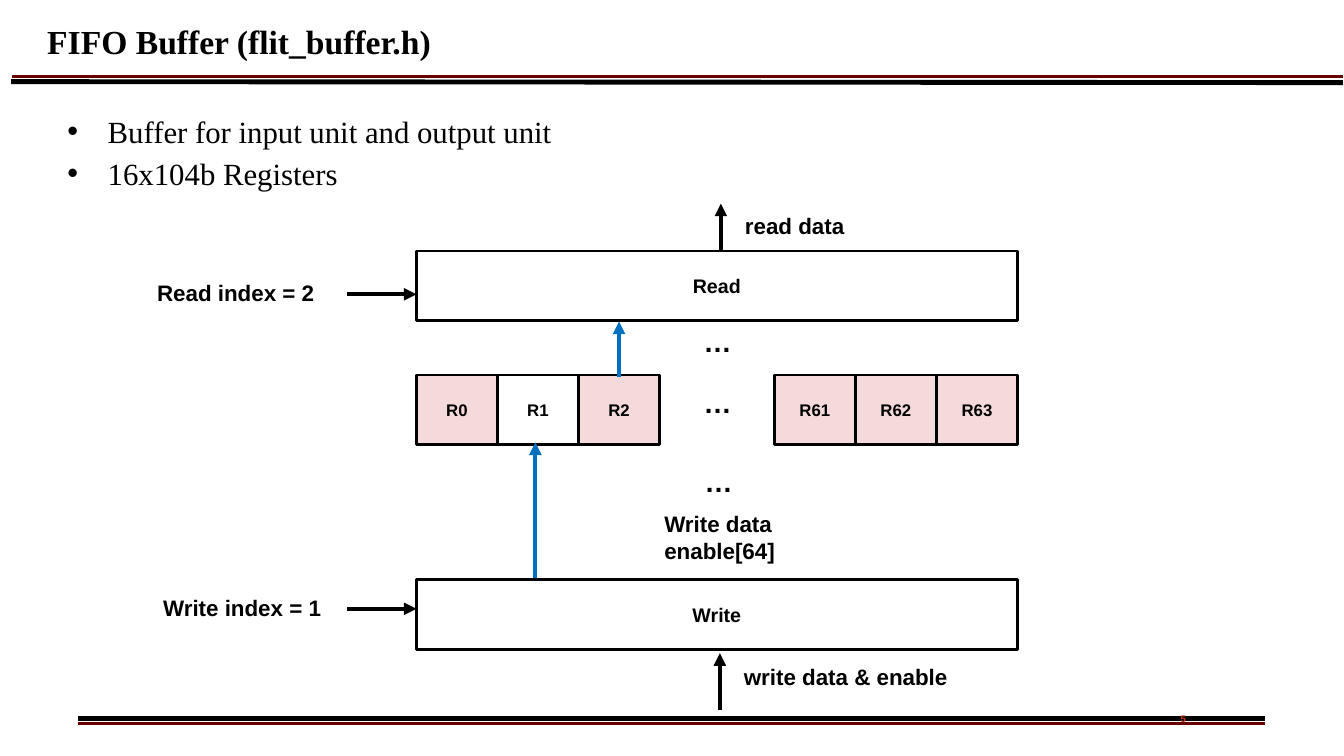
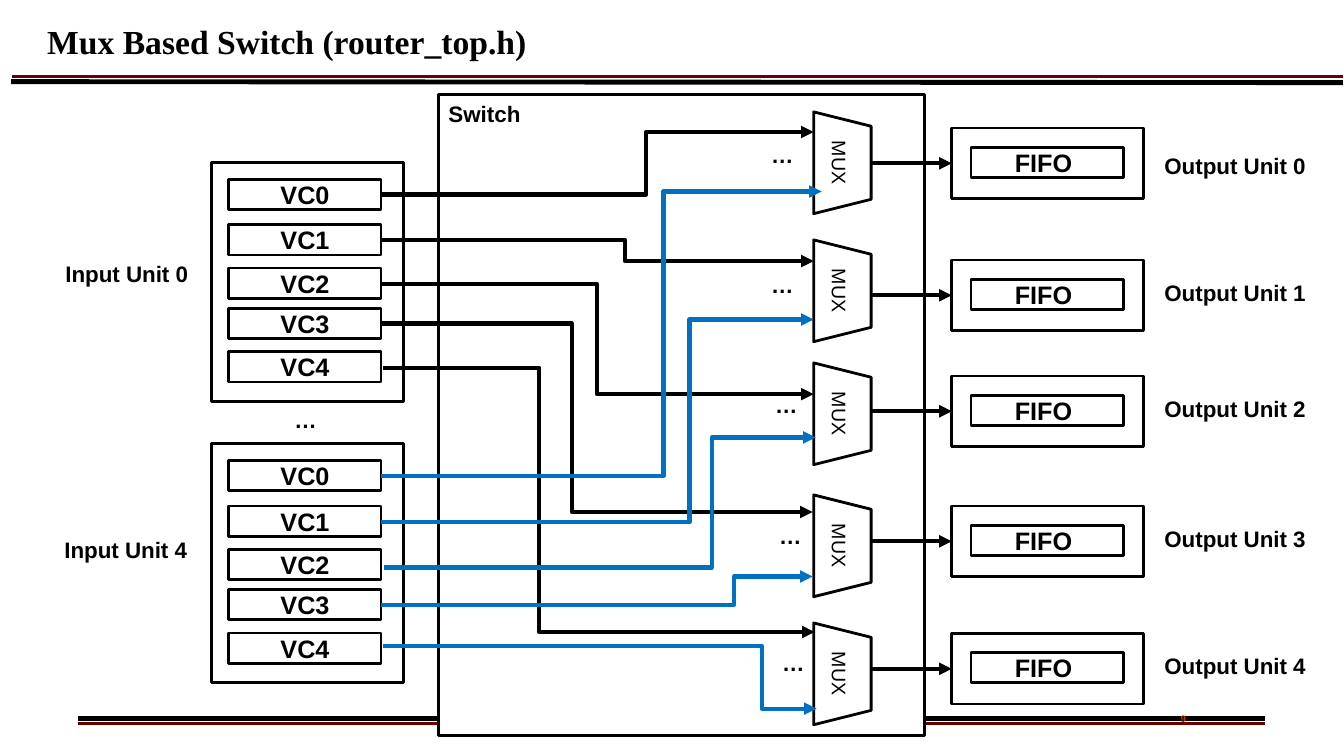
from dataclasses import dataclass
from pptx import Presentation
from pptx.dml.color import RGBColor as RGB
from pptx.enum.shapes import MSO_CONNECTOR as Link, MSO_SHAPE as Form
from pptx.enum.text import MSO_ANCHOR as Anchor, PP_ALIGN as Align
from pptx.oxml.ns import qn
from pptx.util import Inches, Pt
from lxml.etree import SubElement as Sub


@dataclass(frozen=True)
class Theme:
    ink: str = "000000"
    paper: str = "FFFFFF"
    rose: str = "F4DADA"
    blue: str = "0070C0"
    wine: str = "680000"
    red: str = "CC3300"
    sans: str = "Arial"
    serif: str = "Times New Roman"
    head: float = 24
    body: float = 22
    dots: float = 20
    queue: float = 18
    label: float = 16
    block: float = 14
    cell: float = 12
    page: float = 6.8
    edge: float = 2
    wire: float = 3
    rule: float = 3.5


T = Theme()
CELL = Inches(0.1)
COLS, ROWS = 133.3, 75

RULES = [
    ((7.7, 71.8), (125.5, 71.8), T.wine, T.edge),
    ((7.7, 71.3), (125.5, 71.3), T.ink, T.rule),
    ((1.2, 7.6), (133.2, 7.6), T.wine, T.edge),
    ((1.1, 8.1), (133.2, 8.2), T.ink, T.rule),
]

FIFO = {
    "title": "FIFO Buffer (flit_buffer.h)",
    "page": "5",
    "points": ["Buffer for input unit and output unit", "16x104b Registers"],
    "banks": [(41.3, ["R0", "R1", "R2"]), (76.8, ["R61", "R62", "R63"])],
    "free": "R1",
    "bars": [("Read", 24.9), ("Write", 57.5)],
    "dots": [(68.8, 37.8), (68.8, 31.7), (68.9, 45.6)],
    "labels": [
        ("Read index = 2", 14.6, 27.2, 20.8),
        ("read data", 72.9, 20.6, 15.9),
        ("Write data\nenable[64]", 64.9, 50.1, 29.2),
        ("Write index = 1", 15.2, 58.5, 20.2),
        ("write data & enable", 72.8, 65.3, 26.3),
    ],
    "wires": [
        ((61.4, 37.4), (61.4, 31.9), T.blue),
        ((53.1, 58.2), (53.1, 43.9), T.blue),
        ((34.4, 29.2), (41.3, 29.2), T.ink),
        ((71.5, 25.7), (71.5, 20.2), T.ink),
        ((34.4, 60.4), (41.3, 60.4), T.ink),
        ((71.4, 70.4), (71.4, 64.8), T.ink),
    ],
}

MUX = {
    "title": "Mux Based Switch (router_top.h)",
    "page": "9",
    "inputs": [("Input Unit 0", 16.1, 5.5, 25.3), ("Input Unit 4", 44, 5.4, 52.7)],
    "queues": [1.7, 6.2, 10.5, 14.5, 18.8],
    "outputs": [
        (16.15, 16.2, (75.5, 13.5)),
        (28.85, 29.3, (75.5, 26.4)),
        (41.05, 40.8, (75.9, 38.3)),
        (54.15, 53.7, (76.3, 51.3)),
        (66.85, 66.35, (76.6, 63.9)),
    ],
    "wires": {
        T.ink: [
            ((37.8, 19.3), 64.1, (80.7, 13.1)),
            ((37.8, 23.8), 62, (80.7, 25.9)),
            ((37.8, 28.2), 59.2, (80.7, 39.1)),
            ((37.8, 32.1), 56.7, (80.6, 50.8)),
            ((38, 36.5), 53.5, (80.8, 62.7)),
        ],
        T.blue: [
            ((37.8, 47.2), 65.8, (81.5, 19)),
            ((37.8, 51.8), 68.4, (80.7, 31.7)),
            ((38.1, 56.3), 70.6, (80.9, 43.4)),
            ((37.8, 60), 72.8, (80.6, 57.2)),
            ((38, 64.1), 75.6, (81, 70.3)),
        ],
    },
}


def span(*cells):
    return [round(c * CELL) for c in cells]


def write(shape, words, size=T.label, font=T.sans, color=T.ink, bold=True,
          align=Align.LEFT, anchor=Anchor.TOP, inset=(1, 0.5), bullet=None, before=0):
    frame = shape.text_frame
    frame.word_wrap = True
    frame.vertical_anchor = anchor
    frame.margin_left = frame.margin_right = round(inset[0] * CELL)
    frame.margin_top = frame.margin_bottom = round(inset[1] * CELL)
    for i, line in enumerate(words.split("\n")):
        para = frame.paragraphs[0] if i == 0 else frame.add_paragraph()
        para.alignment = align
        para.space_before = Pt(before)
        run = para.add_run()
        run.text = line
        run.font.size, run.font.name, run.font.bold = Pt(size), font, bold
        run.font.color.rgb = RGB.from_string(color)
        if bullet:
            prop = para._p.get_or_add_pPr()
            prop.set("marL", str(Inches(0.5)))
            prop.set("indent", str(Inches(-0.4)))
            Sub(prop, qn("a:buFont"), typeface=T.sans)
            Sub(prop, qn("a:buChar"), char=bullet)


def note(slide, words, x, y, w, h=3.7, **form):
    write(slide.shapes.add_textbox(*span(x, y, w, h)), words, **form)


def box(slide, x, y, w, h, words="", fill=T.paper, kind=Form.RECTANGLE, turn=0, **form):
    shape = slide.shapes.add_shape(kind, *span(x, y, w, h))
    shape.shadow.inherit = False
    shape.rotation = turn
    shape.fill.solid()
    shape.fill.fore_color.rgb = RGB.from_string(fill)
    shape.line.color.rgb = RGB.from_string(T.ink)
    shape.line.width = Pt(T.edge)
    if words:
        write(shape, words, align=Align.CENTER, anchor=Anchor.MIDDLE, **form)


def wire(slide, start, end, color=T.ink, width=T.wire, bend=None, arrow=True):
    kind = Link.STRAIGHT if bend is None else Link.ELBOW
    line = slide.shapes.add_connector(kind, *span(*start, *end))
    line.line.color.rgb = RGB.from_string(color)
    line.line.width = Pt(width)
    prop = line._element.spPr
    if bend is not None:
        share = round((bend - start[0]) / (end[0] - start[0]) * 100000)
        shape = prop.find(qn("a:prstGeom"))
        guide = shape.find(qn("a:avLst"))
        if guide is None:
            guide = Sub(shape, qn("a:avLst"))
        Sub(guide, qn("a:gd"), name="adj1", fmla=f"val {share}")
    if arrow:
        Sub(prop.find(qn("a:ln")), qn("a:tailEnd"), type="triangle")
    Sub(prop, qn("a:effectLst"))


def start(deck, data):
    slide = deck.slides.add_slide(deck.slide_layouts[6])
    for head, tail, color, width in RULES:
        wire(slide, head, tail, color, width, arrow=False)
    note(slide, data["page"], 112.3, 70.4, 10.1, 2.4, size=T.page, color=T.red,
         align=Align.CENTER, inset=(0.6, 0.3))
    note(slide, data["title"], 3.7, 0.5, 127.1, 7.1, size=T.head, font=T.serif,
         anchor=Anchor.MIDDLE)
    return slide


def buffer(deck, data):
    slide = start(deck, data)
    note(slide, "\n".join(data["points"]), 4.7, 10.7, 124.9, 55.1, size=T.body,
         font=T.serif, bold=False, bullet="•", before=3.4)
    for left, names in data["banks"]:
        for i, name in enumerate(names):
            fill = T.paper if name == data["free"] else T.rose
            box(slide, left + i * 8.04, 37.2, 8.04, 6.9, name, fill, size=T.cell)
    for head, tail, color in data["wires"]:
        wire(slide, head, tail, color)
    for name, top in data["bars"]:
        box(slide, 41.3, top, 59.6, 6.9, name, size=T.block)
    for x, y in data["dots"]:
        note(slide, "…", x, y, 5.6, 4.4, size=T.dots)
    for label in data["labels"]:
        note(slide, *label)


def switch(deck, data):
    slide = start(deck, data)
    box(slide, 43.5, 9.4, 48.2, 63.6)
    note(slide, "Switch", 43.5, 9.4, 14.3)
    for name, top, x, y in data["inputs"]:
        box(slide, 21, top, 19, 23.7)
        note(slide, name, x, y, 14.3)
        for i, drop in enumerate(data["queues"]):
            box(slide, 22.7, top + drop, 15.1, 3, f"VC{i}", size=T.queue)
    note(slide, "…", 28.2, 39.8, 4.9)
    for i, (mid, out, dots) in enumerate(data["outputs"]):
        box(slide, 78.5, mid - 2.85, 10.1, 5.7, "MUX", kind=Form.TRAPEZOID, turn=90,
            size=T.block, bold=False)
        box(slide, 94.4, out - 3.5, 19, 7)
        box(slide, 96.3, out - 1.6, 15.1, 3, "FIFO ", size=T.queue)
        wire(slide, (86.4, out), (94.4, out))
        note(slide, f"Output Unit {i}", 114.5, out - 2.1 + (0.5 if i == 0 else 0), 16.2)
        note(slide, "…", *dots, 4.9)
    for color, paths in data["wires"].items():
        for head, bend, tail in paths:
            wire(slide, head, tail, color, bend=bend)


def main():
    deck = Presentation()
    deck.slide_width, deck.slide_height = span(COLS, ROWS)
    buffer(deck, FIFO)
    switch(deck, MUX)
    deck.save("out.pptx")


if __name__ == "__main__":
    main()
